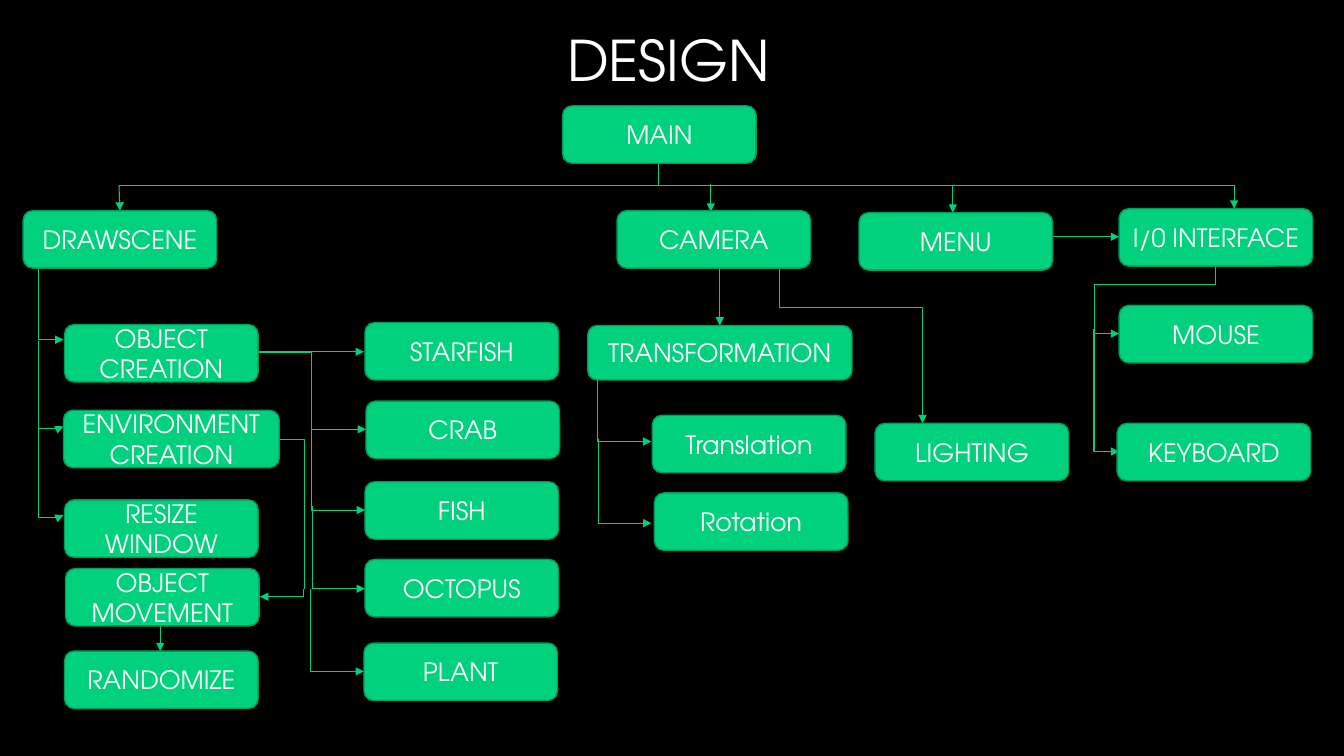
import pptx
import pptx.dml.color
import pptx.enum.shapes
import pptx.enum.text
import pptx.oxml.ns
import pptx.util
from lxml import etree

Inches = pptx.util.Inches
Pt = pptx.util.Pt
qn = pptx.oxml.ns.qn
ALIGN = pptx.enum.text.PP_ALIGN
CONNECTOR = pptx.enum.shapes.MSO_CONNECTOR

BOX_W, BOX_H = 1.92, 0.57

# label, left, top, then width and height where they differ from the usual box
BOXES = [
    ("MAIN", 5.58, 1.05),
    ("DRAWSCENE", 0.23, 2.09),
    ("CAMERA", 6.12, 2.09),
    ("MENU", 8.52, 2.11),
    ("I/0 INTERFACE", 11.1, 2.07),
    ("MOUSE", 11.1, 3.03),
    ("KEYBOARD", 11.08, 4.2),
    ("TRANSFORMATION", 5.83, 3.23, 2.62, 0.54),
    ("Translation", 6.47, 4.12),
    ("Rotation", 6.49, 4.89),
    ("LIGHTING", 8.68, 4.2),
    ("OBJECT CREATION", 0.64, 3.22),
    ("ENVIRONMENT CREATION", 0.63, 4.07, 2.14),
    ("RESIZE WINDOW", 0.64, 4.96),
    ("OBJECT MOVEMENT", 0.65, 5.64),
    ("RANDOMIZE", 0.64, 6.46),
    ("STARFISH", 3.62, 3.2),
    ("CRAB", 3.63, 3.98),
    ("FISH", 3.62, 4.78),
    ("OCTOPUS", 3.62, 5.55),
    ("PLANT", 3.61, 6.38),
]

TRUNK = [
    ((6.53, 1.62), (6.53, 1.84)),
    ((6.53, 1.84), (1.18, 1.84)),
    ((6.53, 1.84), (12.24, 1.84)),
]

STRAIGHT_ARROWS = [
    ((1.18, 1.84), (1.19, 2.09)),
    ((7.05, 1.83), (7.05, 2.1)),
    ((9.45, 1.85), (9.45, 2.11)),
    ((12.24, 1.84), (12.24, 2.07)),
    ((7.14, 2.67), (7.14, 3.23)),
    ((1.59, 6.14), (1.59, 6.46)),
]

# start, end, then the share of the way at each adjustable bend
DOWN_FIRST_ELBOWS = [
    ((0.38, 2.67), (0.63, 3.37)),
    ((0.38, 3.38), (0.63, 4.23), 1.03),
    ((0.38, 4.26), (0.63, 5.11), 1.03),
    ((3.09, 4.24), (3.62, 5.06)),
    ((3.1, 5.02), (3.62, 5.84)),
    ((3.08, 5.84), (3.61, 6.66)),
    ((5.93, 3.56), (6.46, 4.38)),
    ((5.94, 4.36), (6.46, 5.19)),
    ((7.73, 2.67), (9.15, 4.2), 0.25),
    ((12.06, 2.63), (11.1, 3.31), 0.29, 1.26),
    ((10.85, 3.26), (11.1, 4.48)),
]

ACROSS_FIRST_ELBOWS = [
    ((2.55, 3.5), (3.61, 3.49), 0.01),
    ((2.55, 3.5), (3.63, 4.26), 0.5),
    ((3.02, 5.85), (2.58, 5.92), 0.03),
    ((10.44, 2.39), (11.1, 2.35), -0.31),
]


def rgb(value):
    return pptx.dml.color.RGBColor.from_string(value)


class Chart:
    """Holds the style of the design chart and the slide it is drawn on."""

    font = "TeX Gyre Adventor"
    background, ink = "000000", "FFFFFF"
    green, edge = "01D17D", "019B5C"

    def __init__(self, slide):
        self.slide = slide
        slide.background.fill.solid()
        slide.background.fill.fore_color.rgb = rgb(self.background)

    def set_words(self, frame, words, size, **paragraph_format):
        frame.word_wrap = True
        frame.vertical_anchor = pptx.enum.text.MSO_ANCHOR.MIDDLE
        paragraph = frame.paragraphs[0]
        for name, value in paragraph_format.items():
            setattr(paragraph, name, value)
        run = paragraph.add_run()
        run.text = words
        for name, value in {"name": self.font, "size": Pt(size)}.items():
            setattr(run.font, name, value)
        run.font.color.rgb = rgb(self.ink)

    def title(self, words, *place):
        heading = self.slide.shapes.add_textbox(*map(Inches, place))
        self.set_words(heading.text_frame, words, 40,
                       alignment=ALIGN.RIGHT, line_spacing=0.9)

    def box(self, label, left, top, width=BOX_W, height=BOX_H):
        node = self.slide.shapes.add_shape(
            pptx.enum.shapes.MSO_SHAPE.ROUNDED_RECTANGLE,
            *map(Inches, (left, top, width, height)))
        node.shadow.inherit = False
        node.fill.solid()
        node.fill.fore_color.rgb = rgb(self.green)
        node.line.color.rgb = rgb(self.edge)
        node.line.width = Pt(1)
        self.set_words(node.text_frame, label, 18, alignment=ALIGN.CENTER)

    def line(self, start, end, arrow=True, kind=CONNECTOR.STRAIGHT):
        link = self.slide.shapes.add_connector(
            kind, *map(Inches, (*start, *end)))
        link.line.color.rgb = rgb(self.green)
        link.line.width = Pt(0.75)
        properties = link._element.spPr
        if arrow:
            outline = properties.find(qn("a:ln"))
            etree.SubElement(outline, qn("a:tailEnd"), type="triangle")
        etree.SubElement(properties, qn("a:effectLst"))
        return link

    def across_first(self, start, end, *bends, arrow=True):
        """Elbow that leaves its start sideways."""
        link = self.line(start, end, arrow, CONNECTOR.ELBOW)
        geometry = link._element.spPr.find(qn("a:prstGeom"))
        geometry.set("prst", f"bentConnector{len(bends) + 2}")
        guides = geometry.find(qn("a:avLst"))
        for number, share in enumerate(bends, 1):
            etree.SubElement(guides, qn("a:gd"), name=f"adj{number}",
                             fmla=f"val {round(share * 100000)}")
        return link

    def down_first(self, start, end, *bends):
        """Elbow that leaves its start downwards: a sideways one, turned."""
        (x1, y1), (x2, y2) = start, end
        middle_x, middle_y = (x1 + x2) / 2, (y1 + y2) / 2
        half_w, half_h = abs(y2 - y1) / 2, abs(x2 - x1) / 2
        link = self.across_first((middle_x - half_w, middle_y - half_h),
                                 (middle_x + half_w, middle_y + half_h), *bends)
        rightward = x2 > x1
        turn = {"rot": "16200000", "flipH": "1"} if rightward else {"rot": "5400000"}
        frame = link._element.spPr.find(qn("a:xfrm"))
        for name, value in turn.items():
            frame.set(name, value)


def main():
    deck = pptx.Presentation()
    deck.slide_width, deck.slide_height = Inches(13.33), Inches(7.5)
    chart = Chart(deck.slides.add_slide(deck.slide_layouts[6]))

    chart.title("DESIGN", -1.69, -0.08, 9.42, 1.41)
    for ends in TRUNK:
        chart.line(*ends, arrow=False)
    for ends in STRAIGHT_ARROWS:
        chart.line(*ends)
    for route in DOWN_FIRST_ELBOWS:
        chart.down_first(*route)
    for route in ACROSS_FIRST_ELBOWS:
        chart.across_first(*route)
    chart.across_first((2.78, 4.36), (3.02, 5.84), arrow=False)
    for node in BOXES:
        chart.box(*node)

    deck.save("out.pptx")


if __name__ == "__main__":
    main()
